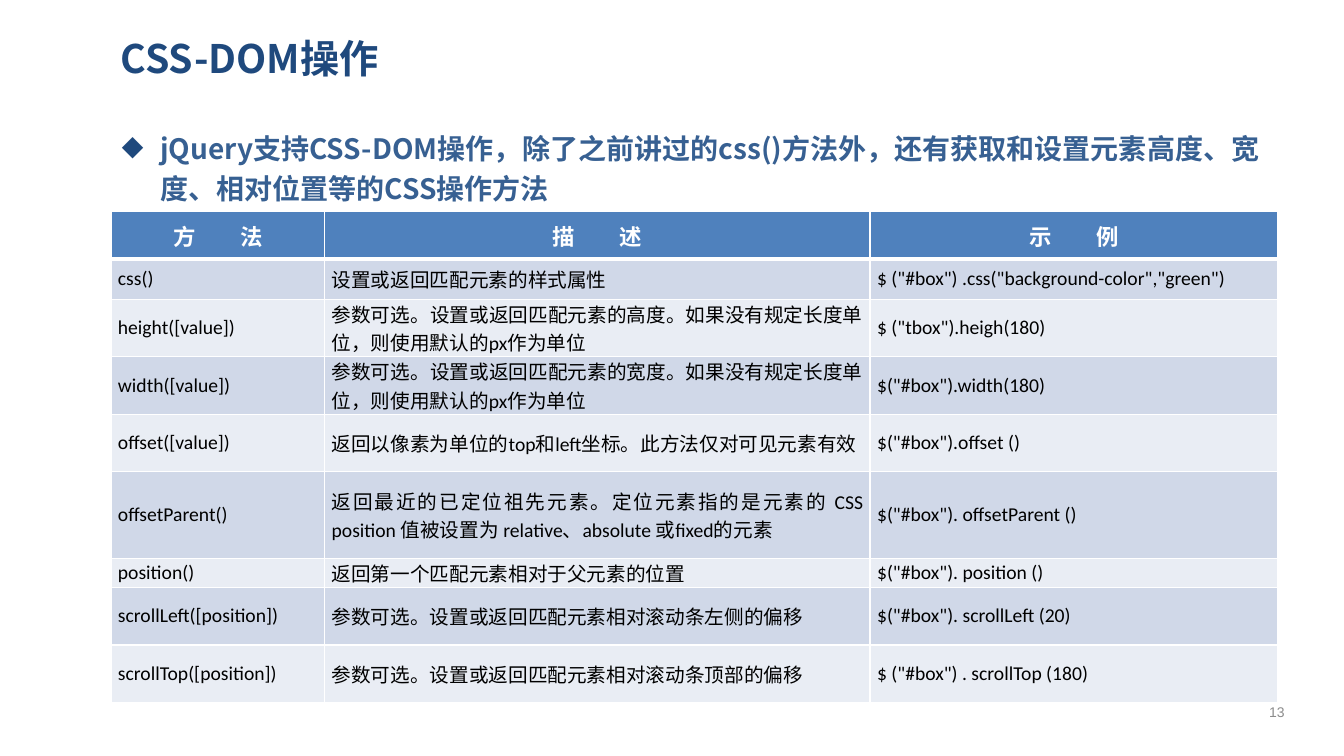
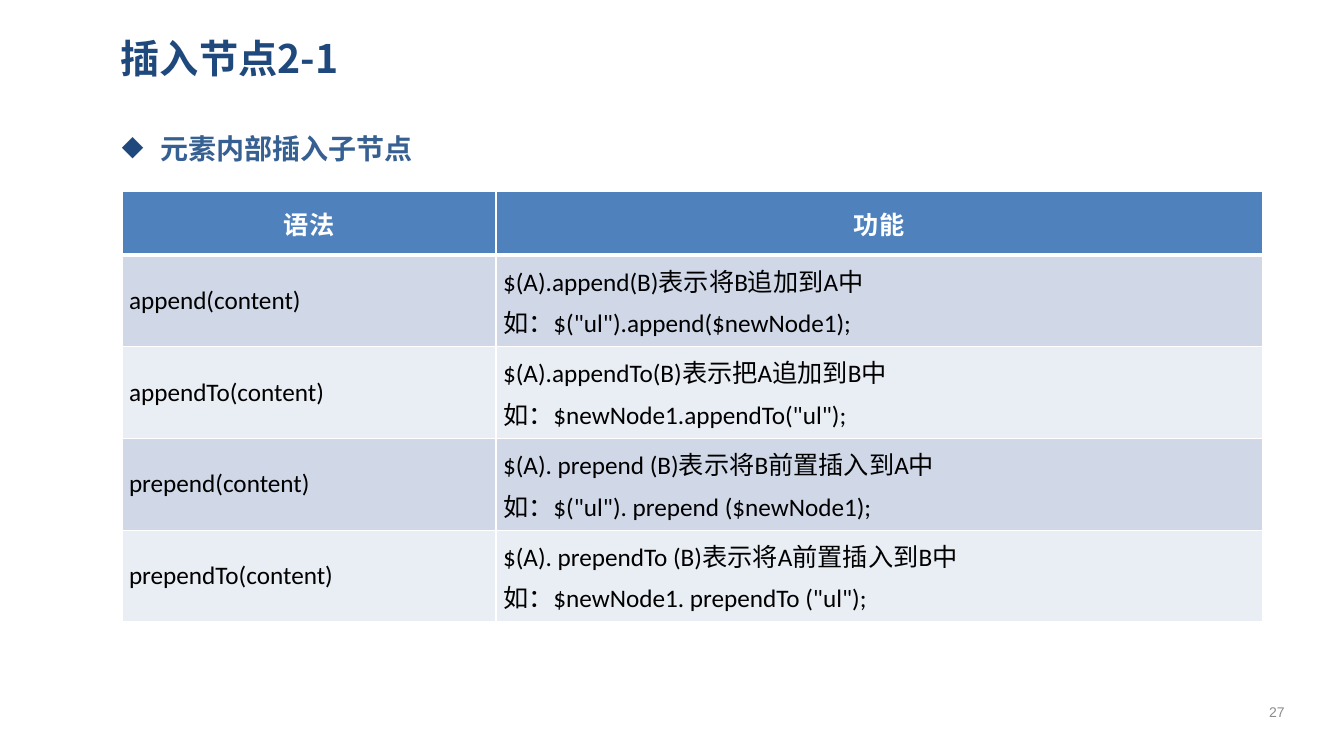
from lxml import etree
from pptx import Presentation
from pptx.dml.color import RGBColor
from pptx.enum.text import MSO_ANCHOR, PP_ALIGN
from pptx.oxml.ns import qn
from pptx.util import Inches, Pt

MIDDLE, TOP = MSO_ANCHOR.MIDDLE, MSO_ANCHOR.TOP
LEFT, CENTER, JUSTIFY = PP_ALIGN.LEFT, PP_ALIGN.CENTER, PP_ALIGN.JUSTIFY

NAVY = RGBColor(0x1F, 0x49, 0x7D)
BLUE = RGBColor(0x37, 0x60, 0x92)
HEADER_BLUE = RGBColor(0x4F, 0x81, 0xBD)
BANDS = (RGBColor(0xD0, 0xD8, 0xE8), RGBColor(0xE9, 0xED, 0xF4))
WHITE = RGBColor(0xFF, 0xFF, 0xFF)
BLACK = RGBColor(0, 0, 0)
GRAY = RGBColor(0x8C, 0x8C, 0x8C)

CJK_FONT = "Noto Sans CJK SC"
TABLE_FONT = "Calibri"
NUMBER_FONT = "Arial"

PAGES = [
    {
        "title": "CSS-DOM操作",
        "point": "jQuery支持CSS-DOM操作，除了之前讲过的css()方法外，还有获取和设置元素高度、"
                 "宽度、相对位置等的CSS操作方法",
        "number": "13",
        "table": {
            "left": 1.1, "top": 2.1,
            "columns": [2.12, 5.41, 4.04],
            "heights": [0.47, 0.4, 0.57, 0.57, 0.57, 0.86, 0.29, 0.57, 0.57],
            "header_size": 16, "size": 14, "align": JUSTIFY, "space": 0,
            "rows": [
                ("方　　法", "描　　述", "示　　例"),
                ("css()", "设置或返回匹配元素的样式属性",
                 '$ ("#box") .css("background-color","green")'),
                ("height([value])",
                 "参数可选。设置或返回匹配元素的高度。如果没有规定长度单位，则使用默认的px作为单位",
                 '$ ("tbox").heigh(180)'),
                ("width([value])",
                 "参数可选。设置或返回匹配元素的宽度。如果没有规定长度单位，则使用默认的px作为单位",
                 '$("#box").width(180)'),
                ("offset([value])",
                 "返回以像素为单位的top和left坐标。此方法仅对可见元素有效",
                 '$("#box").offset ()'),
                ("offsetParent()",
                 "返回最近的已定位祖先元素。定位元素指的是元素的 CSS position 值被设置为 "
                 "relative、absolute 或fixed的元素",
                 '$("#box"). offsetParent ()'),
                ("position()", "返回第一个匹配元素相对于父元素的位置",
                 '$("#box"). position ()'),
                ("scrollLeft([position])", "参数可选。设置或返回匹配元素相对滚动条左侧的偏移",
                 '$("#box"). scrollLeft (20)'),
                ("scrollTop([position])", "参数可选。设置或返回匹配元素相对滚动条顶部的偏移",
                 '$ ("#box") . scrollTop (180)'),
            ],
        },
    },
    {
        "title": "插入节点2-1",
        "point": "元素内部插入子节点",
        "number": "27",
        "table": {
            "left": 1.21, "top": 1.9,
            "columns": [3.71, 7.6],
            "heights": [0.63] + [0.91] * 4,
            "header_size": 18, "size": 18, "align": LEFT, "space": 0.2,
            "rows": [
                ("语法", "功能"),
                ("append(content)",
                 '$(A).append(B)表示将B追加到A中\n如：$("ul").append($newNode1);'),
                ("appendTo(content)",
                 '$(A).appendTo(B)表示把A追加到B中\n如：$newNode1.appendTo("ul");'),
                ("prepend(content)",
                 '$(A). prepend (B)表示将B前置插入到A中\n如：$("ul"). prepend ($newNode1);'),
                ("prependTo(content)",
                 '$(A). prependTo (B)表示将A前置插入到B中\n如：$newNode1. prependTo ("ul");'),
            ],
        },
    },
]


def style_paragraph(para, font_name, size, color, bold=False, align=LEFT):
    """Set alignment and font, with the CJK face for East Asian characters."""
    para.alignment = align
    font = para.font
    font.name, font.size, font.bold = font_name, Pt(size), bold
    font.color.rgb = color
    east_asian = etree.Element(qn("a:ea"), typeface=CJK_FONT)
    font._element.find(qn("a:latin")).addnext(east_asian)


def add_text(page, text, place, font_name, size, color, anchor=MIDDLE, **style):
    box = page.shapes.add_textbox(*(Inches(length) for length in place))
    frame = box.text_frame
    frame.word_wrap = True
    frame.vertical_anchor = anchor
    frame.text = text
    para = frame.paragraphs[0]
    style_paragraph(para, font_name, size, color, **style)
    return para


def add_bullet(para):
    para.line_spacing = 1.2
    para.space_before = Pt(4)
    props = para._p.get_or_add_pPr()
    indent = Inches(0.38)
    props.set("marL", str(indent))
    props.set("indent", str(-indent))
    bullet_color = etree.Element(qn("a:buClr"))
    etree.SubElement(bullet_color, qn("a:srgbClr"), val=str(NAVY))
    bullet = etree.Element(qn("a:buChar"), char="◆")
    defaults = props.find(qn("a:defRPr"))
    defaults.addprevious(bullet_color)
    defaults.addprevious(bullet)


def add_borders(cell, top, bottom):
    """Draw white cell edges; top and bottom widths are in points."""
    props = cell._tc.get_or_add_tcPr()
    for side, width in (("L", 1), ("R", 1), ("T", top), ("B", bottom)):
        line = etree.SubElement(props, qn(f"a:ln{side}"), w=str(Pt(width)))
        fill = etree.SubElement(line, qn("a:solidFill"))
        etree.SubElement(fill, qn("a:srgbClr"), val=str(WHITE))


def fill_cell(cell, text, row, layout):
    is_header = row == 0
    add_borders(cell, top=3 if row == 1 else 1, bottom=3 if is_header else 1)
    cell.fill.solid()
    cell.fill.fore_color.rgb = HEADER_BLUE if is_header else BANDS[(row - 1) % 2]
    cell.vertical_anchor = MIDDLE
    cell.margin_left = cell.margin_right = Inches(0.07)
    cell.margin_top = cell.margin_bottom = 0
    cell.text = text
    size = layout["header_size"] if is_header else layout["size"]
    for para in cell.text_frame.paragraphs:
        style_paragraph(para, TABLE_FONT, size, WHITE if is_header else BLACK,
                        bold=is_header, align=CENTER if is_header else layout["align"])
        para.space_before = Pt(size * layout["space"])


def add_method_table(page, layout):
    rows, columns, heights = layout["rows"], layout["columns"], layout["heights"]
    place = (layout["left"], layout["top"], sum(columns), sum(heights))
    table = page.shapes.add_table(
        len(rows), len(columns), *(Inches(length) for length in place)).table
    for column, width in zip(table.columns, columns):
        column.width = Inches(width)
    for row, (texts, height) in enumerate(zip(rows, heights)):
        table.rows[row].height = Inches(height)
        for col, text in enumerate(texts):
            fill_cell(table.cell(row, col), text, row, layout)


def add_page(deck, content):
    page = deck.slides.add_slide(deck.slide_layouts[6])
    point = add_text(page, content["point"], (1.11, 1.19, 11.65, 5.68),
                     CJK_FONT, 20, BLUE, anchor=TOP, bold=True)
    add_bullet(point)
    add_text(page, content["title"], (1.1, 0.24, 11.65, 0.67),
             CJK_FONT, 28, NAVY, bold=True)
    add_method_table(page, content["table"])
    add_text(page, content["number"], (12.34, 6.86, 0.65, 0.4),
             NUMBER_FONT, 10, GRAY, align=CENTER)


def main():
    deck = Presentation()
    deck.slide_width, deck.slide_height = Inches(13.33), Inches(7.5)
    for content in PAGES:
        add_page(deck, content)
    deck.save("out.pptx")


if __name__ == "__main__":
    main()
